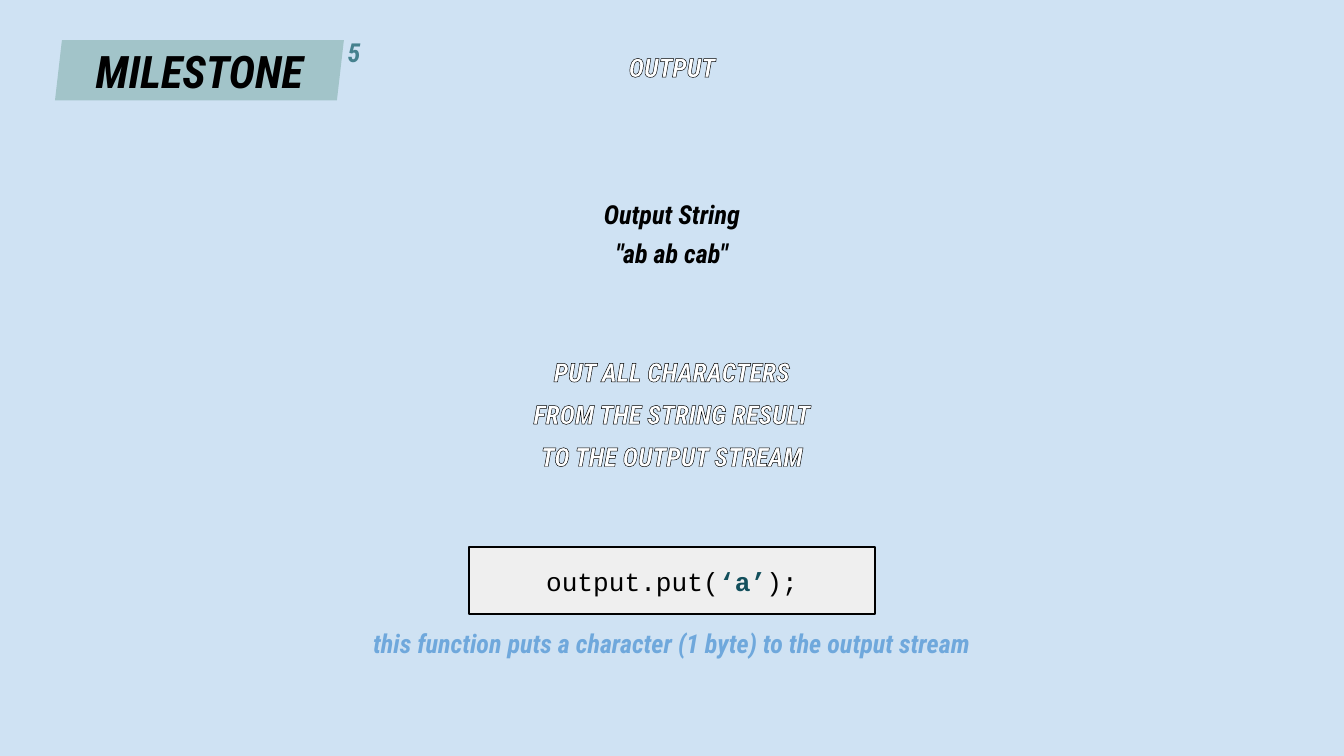
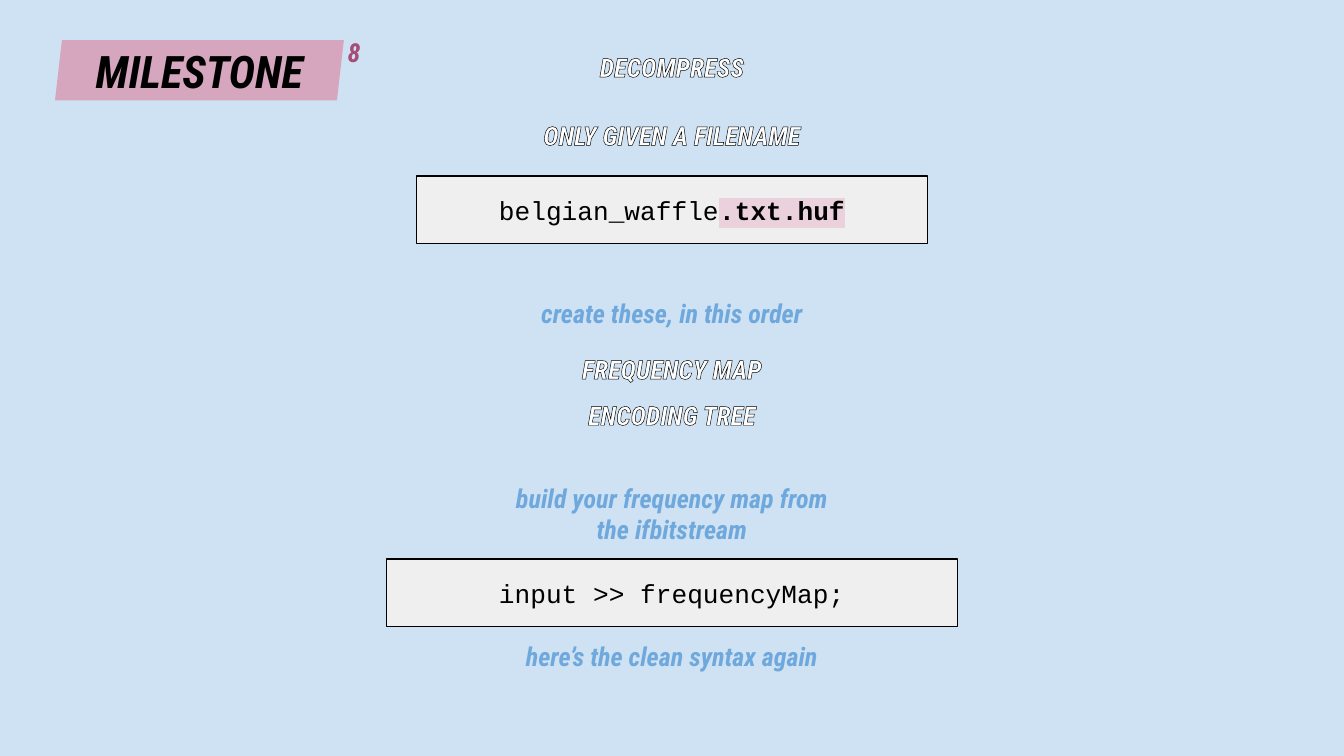
from collections import namedtuple

from lxml import etree
from pptx import Presentation
from pptx import util as u
from pptx.dml.color import RGBColor
from pptx.enum import shapes, text
from pptx.oxml import ns

SKY = RGBColor(0xCF, 0xE2, 0xF3)
BLACK = RGBColor(0x00, 0x00, 0x00)
WHITE = RGBColor(0xFF, 0xFF, 0xFF)
CODE_FILL = RGBColor(0xEF, 0xEF, 0xEF)
NOTE_BLUE = RGBColor(0x6F, 0xA8, 0xDC)
TEAL = RGBColor(0xA2, 0xC4, 0xC9)
TEAL_MID = RGBColor(0x45, 0x81, 0x8E)
TEAL_DARK = RGBColor(0x13, 0x4F, 0x5C)
PINK = RGBColor(0xD5, 0xA6, 0xBD)
PINK_DARK = RGBColor(0xA6, 0x4D, 0x79)
PINK_PALE = RGBColor(0xEA, 0xD1, 0xDC)

SLIDE_WIDTH, SLIDE_HEIGHT = 25.4, 14.29
DISPLAY_FONT, CODE_FONT = "Roboto Condensed", "Courier New"
BODY_SIZE, BANNER_SIZE = 14, 24
INSET = 0.25
LINE_HEIGHT, CODE_HEIGHT, NOTE_HEIGHT = 0.66, 1.27, 1.12

Box = namedtuple("Box", "left top width height")
Span = namedtuple("Span", "text color bold highlight", defaults=(BLACK, False, None))


def centered(top, width, height=LINE_HEIGHT):
    """Return a box centred across the slide."""
    return Box((SLIDE_WIDTH - width) / 2, top, width, height)


def in_cm(box):
    """Turn a box in centimetres into lengths."""
    return [u.Cm(length) for length in box]


def set_insets(frame):
    """Give a text frame the same wide inset on each side."""
    frame.margin_left = frame.margin_right = u.Cm(INSET)
    frame.margin_top = frame.margin_bottom = u.Cm(INSET)


def style_paragraph(para, font_name=DISPLAY_FONT, size=BODY_SIZE):
    """Centre a paragraph and set its font."""
    para.alignment = text.PP_ALIGN.CENTER
    para.font.name = font_name
    para.font.size = u.Pt(size)
    if font_name == DISPLAY_FONT:
        para.font.bold = para.font.italic = True


def add_color(parent, tag, color):
    """Append an element that holds one RGB colour."""
    holder = etree.SubElement(parent, ns.qn(tag))
    etree.SubElement(holder, ns.qn("a:srgbClr"), val=str(color))


def outline_text(span, color, width):
    """Draw a line around the letters of a run."""
    line = etree.Element(ns.qn("a:ln"), w=str(u.Pt(width)))
    add_color(line, "a:solidFill", color)
    span._r.get_or_add_rPr().insert(0, line)


def add_label(page, box, wording, color=BLACK):
    """Add one centred display line; no colour leaves the letters hollow."""
    label = page.shapes.add_textbox(*in_cm(box))
    label.text_frame.word_wrap = True
    para = label.text_frame.paragraphs[0]
    style_paragraph(para)
    span = para.add_run()
    span.text = wording
    if color is None:
        span.font.fill.background()
    else:
        span.font.color.rgb = color
    return label, span


def add_outlined(page, box, wording, width=0.75):
    """Add a white line of text with black edges."""
    span = add_label(page, box, wording, WHITE)[1]
    outline_text(span, BLACK, width)


def add_note(page, box, wording):
    """Add a blue remark whose box grows with its text."""
    label = add_label(page, box, wording, NOTE_BLUE)[0]
    set_insets(label.text_frame)
    label.text_frame.auto_size = text.MSO_AUTO_SIZE.SHAPE_TO_FIT_TEXT


def add_panel(page, kind, box, fill):
    """Add a filled shape without line, ready for centred text."""
    panel = page.shapes.add_shape(kind, *in_cm(box))
    panel.shadow.inherit = False
    panel.fill.solid()
    panel.fill.fore_color.rgb = fill
    panel.line.fill.background()
    frame = panel.text_frame
    frame.word_wrap = True
    frame.vertical_anchor = text.MSO_ANCHOR.MIDDLE
    set_insets(frame)
    return panel


def add_code(page, box, spans):
    """Add a grey framed line of code."""
    panel = add_panel(page, shapes.MSO_SHAPE.RECTANGLE, box, CODE_FILL)
    panel.line.color.rgb = BLACK
    panel.line.width = u.Pt(0.75)
    para = panel.text_frame.paragraphs[0]
    style_paragraph(para, CODE_FONT)
    for part in spans:
        span = para.add_run()
        span.text = part.text
        span.font.color.rgb = part.color
        span.font.bold = part.bold
        if part.highlight is not None:
            add_color(span._r.get_or_add_rPr(), "a:highlight", part.highlight)


def add_banner(page, box, number, fill, number_color):
    """Add the slanted milestone banner with its number at the upper right."""
    panel = add_panel(page, shapes.MSO_SHAPE.PARALLELOGRAM, box, fill)
    panel.adjustments[0] = 0.115
    para = panel.text_frame.paragraphs[0]
    para.text = "MILESTONE"
    style_paragraph(para, size=BANNER_SIZE)
    para.font.color.rgb = BLACK
    corner = Box(box.left + box.width - 0.33, box.top - 0.2, 1.04, 1.6)
    outline_text(add_label(page, corner, number, None)[1], number_color, 1.5)


def start_milestone(deck, number, title, fill, number_color):
    """Add a slide with background, banner and title."""
    page = deck.slides.add_slide(deck.slide_layouts[6])
    page.background.fill.solid()
    page.background.fill.fore_color.rgb = SKY
    add_banner(page, Box(1.04, 0.76, 5.46, 1.14), number, fill, number_color)
    add_outlined(page, centered(0.84, 7.29, 1.02), title, 1.5)
    return page


def build_output(deck):
    """Build the slide on writing the output stream."""
    page = start_milestone(deck, "5", "OUTPUT", TEAL, TEAL_MID)
    add_label(page, centered(3.63, 4.11), "Output String")
    add_label(page, centered(4.37, 4.11), '"ab ab cab"')
    steps = ["PUT ALL CHARACTERS", "FROM THE STRING RESULT", "TO THE OUTPUT STREAM"]
    for row, step in enumerate(steps):
        add_outlined(page, centered(6.6 + 0.8 * row, 9.4), step)
    add_code(page, centered(10.34, 7.67, CODE_HEIGHT),
             [Span("output.put("), Span("‘a’", TEAL_DARK, True), Span(");")])
    add_note(page, centered(11.61, 13.13, NOTE_HEIGHT),
             "this function puts a character (1 byte) to the output stream")


def build_decompress(deck):
    """Build the slide on decompressing a file."""
    page = start_milestone(deck, "8", "DECOMPRESS", PINK, PINK_DARK)
    add_outlined(page, centered(2.13, 8.81), "ONLY GIVEN A FILENAME")
    add_code(page, centered(3.33, 9.65, CODE_HEIGHT),
             [Span("belgian_waffle"), Span(".txt.huf", BLACK, True, PINK_PALE)])
    add_note(page, centered(5.38, 6.71, NOTE_HEIGHT), "create these, in this order")
    for row, structure in enumerate(["FREQUENCY MAP", "ENCODING TREE"]):
        add_outlined(page, centered(6.55 + 0.87 * row, 6.05), structure)
    add_note(page, centered(8.86, 6.71, 1.7),
             "build your frequency map from the ifbitstream")
    add_code(page, centered(10.57, 10.8, CODE_HEIGHT), [Span("input >> frequencyMap;")])
    add_note(page, centered(11.86, 9.83, NOTE_HEIGHT), "here’s the clean syntax again")


def main():
    """Build the deck and save it."""
    deck = Presentation()
    deck.slide_width = u.Cm(SLIDE_WIDTH)
    deck.slide_height = u.Cm(SLIDE_HEIGHT)
    build_output(deck)
    build_decompress(deck)
    deck.save("out.pptx")


if __name__ == "__main__":
    main()
